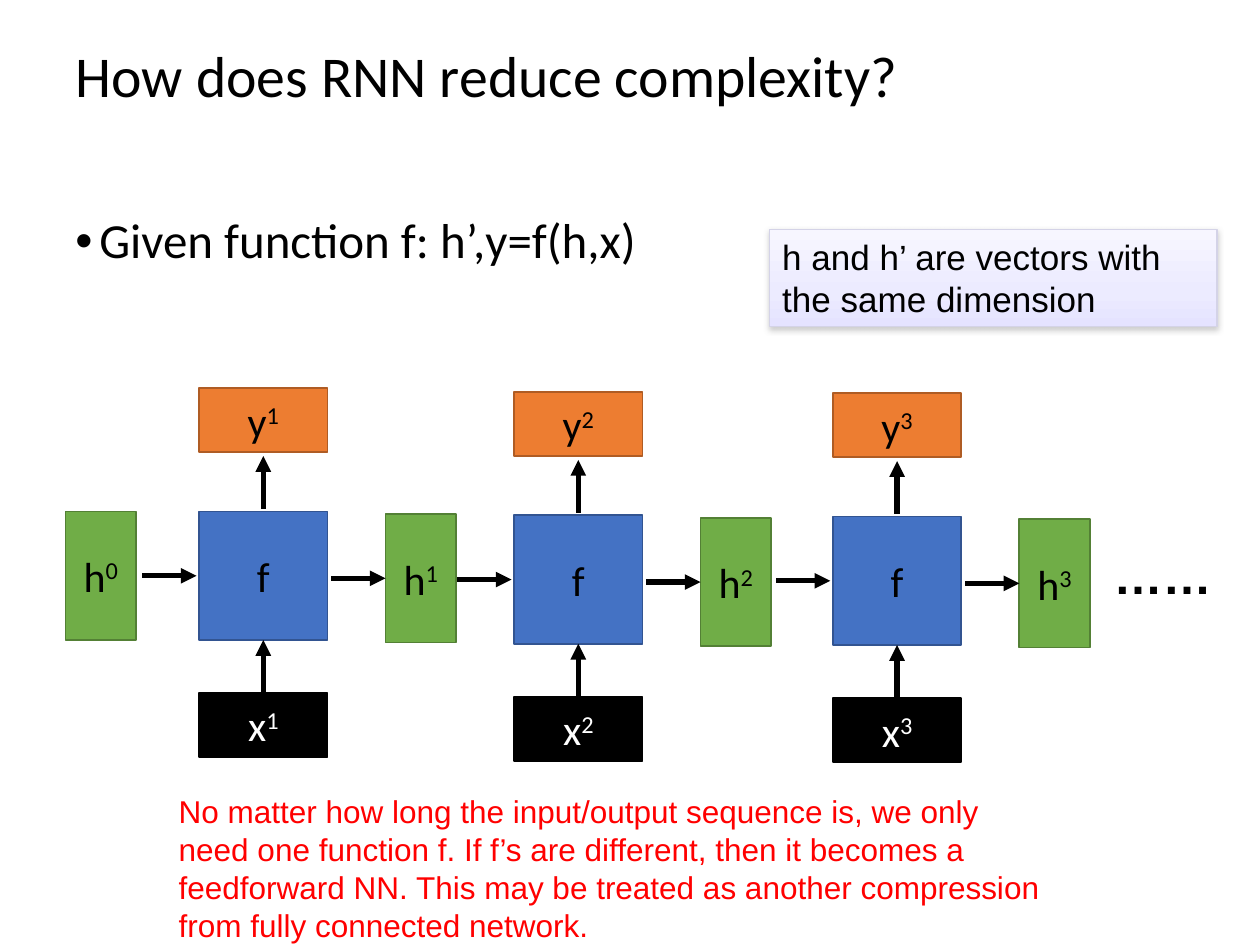
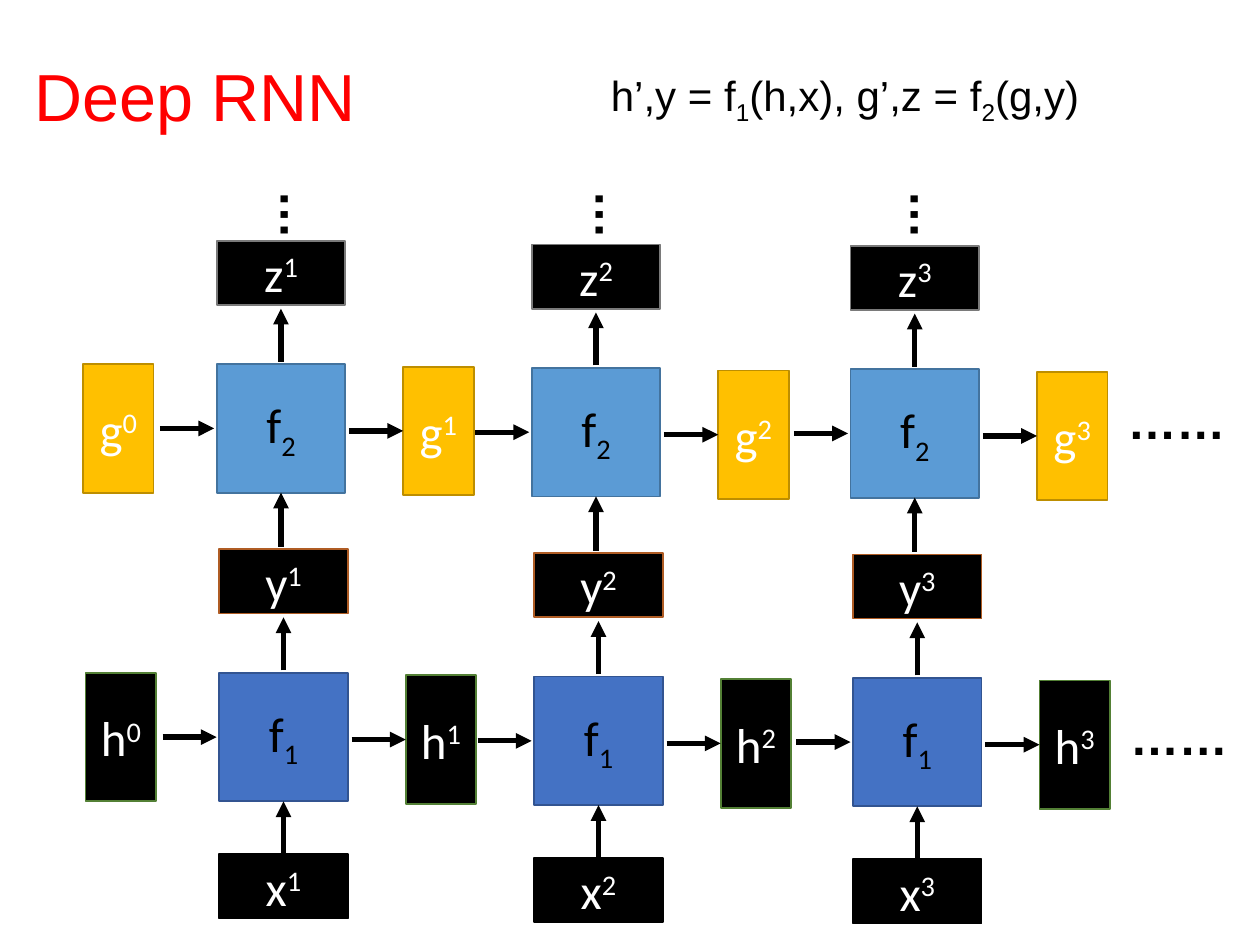
import copy
from dataclasses import dataclass

import lxml.etree
import pptx
import pptx.dml.color
import pptx.enum.shapes
import pptx.enum.text
import pptx.oxml.ns
import pptx.util

Inches = pptx.util.Inches
Pt = pptx.util.Pt
qn = pptx.oxml.ns.qn
ALIGN = pptx.enum.text.PP_ALIGN
ANCHOR = pptx.enum.text.MSO_ANCHOR
AUTO = pptx.enum.text.MSO_AUTO_SIZE

SUPER, SUB = 30, -25
COLUMNS = ((0, 0), (2.5, 0.03), (5.03, 0.04))


@dataclass(frozen=True)
class Theme:
    black: str = "000000"
    white: str = "FFFFFF"
    red: str = "FF0000"
    blue: tuple = ("4472C4", "325491")
    sky: tuple = ("5B9BD5", "43739E")
    green: tuple = ("70AD47", "538035")
    orange: tuple = ("ED7D31", "AF5C24")
    gold: tuple = ("FFC000", "BD8E00")
    ink: tuple = ("000000", "000000")
    ink_green: tuple = ("000000", "538035")
    ink_orange: tuple = ("000000", "AF5C24")
    ink_gray: tuple = ("000000", "7A7A7A")
    note_stops: tuple = ((0, "F7F6FF"), (0.65, "ECEBFF"), (1, "E5E3FF"))
    note_line: str = "D4D3E7"
    shadow: str = "808080"
    head: str = "Calibri"
    body: str = "Arial"
    title_size: int = 33
    deep_title_size: int = 38
    large: int = 28
    medium: int = 24
    note_size: int = 20
    remark_size: int = 18


def rgb(value):
    return pptx.dml.color.RGBColor.from_string(value)


def apply(target, values):
    for name, value in values.items():
        setattr(target, name, value)


class Deck:
    def __init__(self, theme):
        self.t = theme
        self.prs = pptx.Presentation()
        apply(self.prs, dict(slide_width=Inches(10), slide_height=Inches(7.5)))

    def add_runs(self, tf, runs, color, size, font, align=ALIGN.LEFT, bold=False):
        p = tf.paragraphs[0]
        p.alignment = align
        for text, baseline in runs:
            r = p.add_run()
            r.text = text
            apply(r.font, dict(name=font, size=Pt(size), bold=bold))
            r.font.color.rgb = rgb(color)
            if baseline:
                r.font._element.set("baseline", str(baseline * 1000))
        return p

    def slide(self, title, at, color, size, font, spacing):
        self.s = self.prs.slides.add_slide(self.prs.slide_layouts[5])
        sp = self.s.shapes.title
        apply(sp, dict(zip(("left", "top", "width", "height"), map(Inches, at))))
        tf = sp.text_frame
        apply(tf, dict(vertical_anchor=ANCHOR.MIDDLE, auto_size=AUTO.NONE, word_wrap=True))
        self.add_runs(tf, [(title, 0)], color, size, font).line_spacing = spacing

    def text(self, at, runs, color, size, font, bold=False, wrap=True, rotation=0):
        sp = self.s.shapes.add_textbox(*map(Inches, at))
        sp.rotation = rotation
        sp.text_frame.word_wrap = wrap
        return self.add_runs(sp.text_frame, runs, color, size, font, bold=bold)

    def bullet(self, at, text):
        p = self.text(at, [(text, 0)], self.t.black, self.t.large, self.t.head)
        p.line_spacing = 0.9
        pPr = p._p.get_or_add_pPr()
        pPr.set("marL", str(Inches(0.19)))
        pPr.set("indent", str(-Inches(0.19)))
        lxml.etree.SubElement(pPr, qn("a:buFont")).set("typeface", self.t.body)
        lxml.etree.SubElement(pPr, qn("a:buChar")).set("char", "•")

    def dots(self, at, text, rotation=0):
        self.text(at, [(text, 0)], self.t.black, self.t.large, self.t.body,
                  bold=True, rotation=rotation)

    def rect(self, at, line, width):
        sp = self.s.shapes.add_shape(pptx.enum.shapes.MSO_SHAPE.RECTANGLE, *map(Inches, at))
        sp.shadow.inherit = False
        sp.line.color.rgb = rgb(line)
        sp.line.width = Pt(width)
        return sp

    def box(self, at, runs, colors, color, size):
        fill, line = colors
        sp = self.rect(at, line, 1)
        sp.fill.solid()
        sp.fill.fore_color.rgb = rgb(fill)
        sp.text_frame.vertical_anchor = ANCHOR.MIDDLE
        self.add_runs(sp.text_frame, runs, color, size, self.t.head, ALIGN.CENTER)
        return sp

    def note(self, at, text):
        sp = self.rect(at, self.t.note_line, 0.75)
        sp.fill.gradient()
        sp.fill.gradient_angle = 270
        stops = sp._element.spPr.find(qn("a:gradFill")).find(qn("a:gsLst"))
        stops.insert(1, copy.deepcopy(stops[0]))
        for stop, (position, color) in zip(sp.fill.gradient_stops, self.t.note_stops):
            stop.position = position
            stop.color.rgb = rgb(color)
        effects = sp._element.spPr.find(qn("a:effectLst"))
        shadow = lxml.etree.SubElement(effects, qn("a:outerShdw"), blurRad=str(Pt(3.1)),
                                       dist=str(Pt(1.6)), dir="5400000", rotWithShape="0")
        shade = lxml.etree.SubElement(shadow, qn("a:srgbClr"), val=self.t.shadow)
        lxml.etree.SubElement(shade, qn("a:alpha"), val="38000")
        apply(sp.text_frame, dict(vertical_anchor=ANCHOR.TOP, word_wrap=True))
        self.add_runs(sp.text_frame, [(text, 0)], self.t.black, self.t.note_size, self.t.body)

    def arrow(self, x1, y1, x2, y2, begin=None, end=None):
        kind = pptx.enum.shapes.MSO_CONNECTOR.STRAIGHT
        c = self.s.shapes.add_connector(kind, *map(Inches, (x1, y1, x2, y2)))
        c.line.color.rgb = rgb(self.t.black)
        c.line.width = Pt(3)
        ln = c._element.spPr.find(qn("a:ln"))
        lxml.etree.SubElement(ln, qn("a:tailEnd"), type="triangle")
        lxml.etree.SubElement(c._element.spPr, qn("a:effectLst"))
        if begin:
            c.begin_connect(*begin)
        if end:
            c.end_connect(*end)

    def layer(self, left, top, cell, state, output, source, size, dots):
        def indexed(kind, x, y, w, h, i):
            letter, colors, color = kind
            return self.box((x, y, w, h), [(letter, 0), (str(i), SUPER)], colors, color, size)

        cell_runs, cell_colors = cell
        indexed(state, left - 1.06, top, 0.56, 1.02, 0)
        for i, (dx, dy) in enumerate(COLUMNS, 1):
            x, y = left + dx, top + dy
            mid = x + 0.51
            f = self.box((x, y, 1.02, 1.02), cell_runs, cell_colors, self.t.black, size)
            h = indexed(state, x + 1.48, y + 0.02, 0.56, 1.02, i)
            indexed(output, x, y - 0.98, 1.02, 0.51, i)
            below = None
            if source:
                below = (indexed(source, x, y + 1.44, 1.02, 0.51, i), 0)
            self.arrow(x - 0.45, y + 0.51, x - 0.02, y + 0.51)
            self.arrow(x + 1.05, y + 0.53, x + 1.48, y + 0.53, end=(h, 1))
            self.arrow(mid, y - 0.02, mid, y - 0.44)
            self.arrow(mid, y + 1.45, mid, y + 1.02, begin=below, end=(f, 2))
        dots_dx, dots_dy = dots
        self.dots((left + dots_dx, top + dots_dy, 1.02, 0.57), "……")


def complexity_slide(d):
    t = d.t
    d.slide("How does RNN reduce complexity?", (0.5, 0, 9, 1.25),
            t.black, t.title_size, t.head, 0.9)
    d.bullet((0.5, 1.67, 5.5, 0.6), "Given function f: h’,y=f(h,x)")
    d.layer(1.58, 4.06, ([("f", 0)], t.blue), ("h", t.green, t.black),
            ("y", t.orange, t.black), ("x", t.ink, t.white), t.medium, (7.16, 0.22))
    d.text((1.32, 6.24, 7.16, 1.26),
           [("No matter how long the input/output sequence is, we only need one function f. "
             "If f’s are different, then it becomes a feedforward NN. This may be treated as "
             "another compression from fully connected network.", 0)],
           t.red, t.remark_size, t.body)
    d.note((6.11, 1.82, 3.55, 0.77), "h and h’ are vectors with the same dimension")


def deep_slide(d):
    t = d.t
    d.slide("Deep RNN", (0.17, 0.17, 3.25, 1.17), t.red, t.deep_title_size, t.body, 1.0)
    d.layer(1.74, 5.34, ([("f", 0), ("1", SUB)], t.blue), ("h", t.ink_green, t.white),
            ("y", t.ink_orange, t.white), ("x", t.ink, t.white), t.large, (7.13, 0.22))
    d.layer(1.72, 2.89, ([("f", 0), ("2", SUB)], t.sky), ("g", t.gold, t.white),
            ("z", t.ink_gray, t.white), None, t.large, (7.13, 0.16))
    for i in range(3):
        d.dots((2.14 + 2.5 * i, 1.37, 0.48, 0.57), "…", rotation=90)
    d.text((4.75, 0.5, 3.99, 0.51),
           [("h’,y = f", 0), ("1", SUB), ("(h,x), g’,z = f", 0), ("2", SUB), ("(g,y)", 0)],
           t.black, t.medium, t.body, wrap=False)


def main():
    d = Deck(Theme())
    complexity_slide(d)
    deep_slide(d)
    d.prs.save("out.pptx")


if __name__ == "__main__":
    main()
